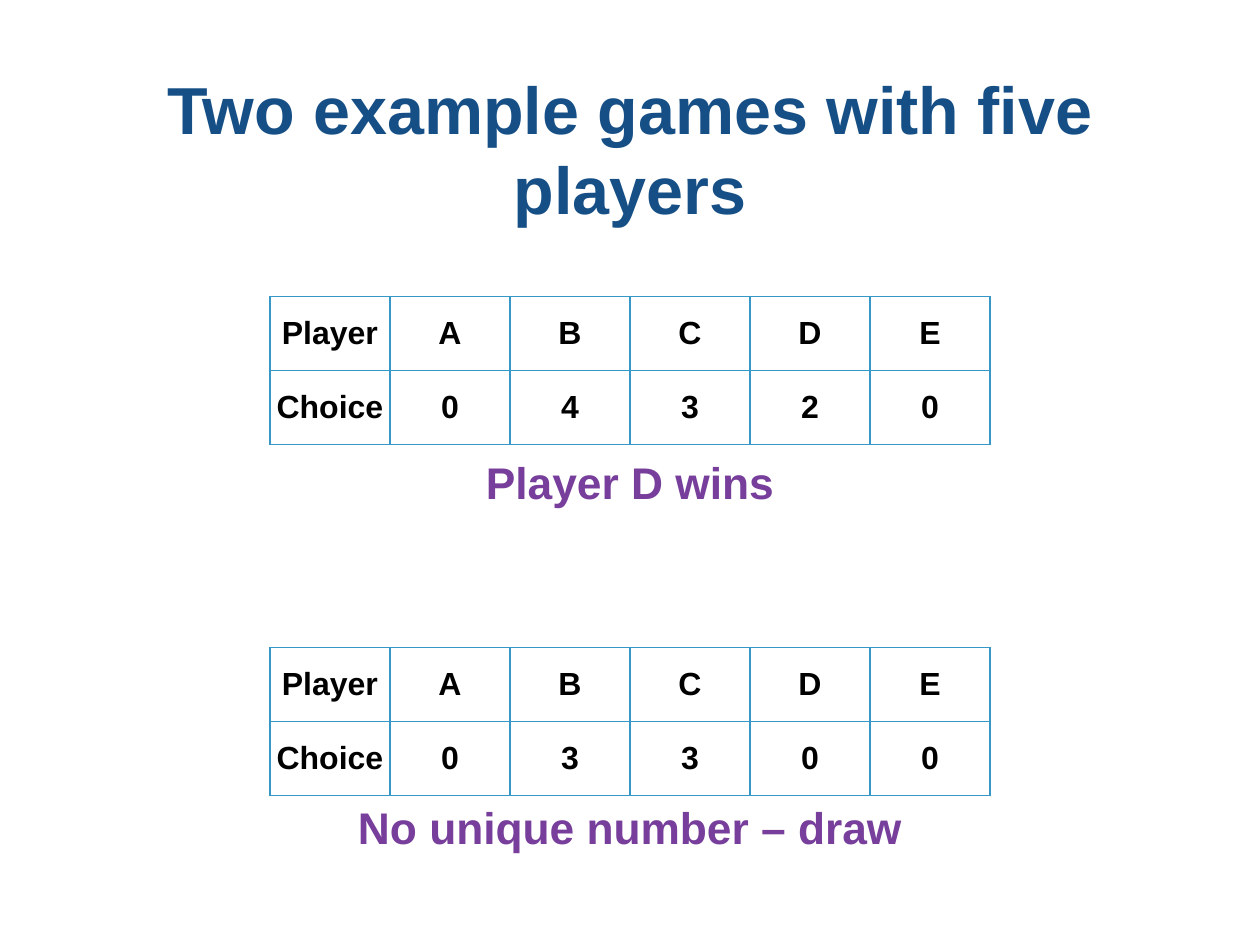
from dataclasses import dataclass

from lxml import etree
from pptx import Presentation
from pptx import util as u
from pptx.dml.color import RGBColor
from pptx.enum import text
from pptx.oxml import ns


@dataclass(frozen=True)
class Theme:
    font: str = "Arial"
    title_size: int = 54
    caption_size: int = 36
    cell_size: int = 26
    title_color: str = "164F86"
    caption_color: str = "773F9B"
    cell_color: str = "000000"
    cell_fill: str = "FFFFFF"
    border_color: str = "3797C6"
    border_width: int = 1
    inset: u.Length = u.Cm(0.14)


THEME = Theme()
SLIDE_WIDTH, SLIDE_HEIGHT = u.Cm(36.12), u.Cm(27.1)
PLAYERS = ["Player", "A", "B", "C", "D", "E"]
GAMES = [
    # table top, caption top, choices, result
    (u.Cm(8.51), u.Cm(12.93), ["0", "4", "3", "2", "0"], "Player D wins"),
    (u.Cm(18.57), u.Cm(22.81), ["0", "3", "3", "0", "0"], "No unique number – draw"),
]


def write_centred(frame, wording, size, color):
    paragraph = frame.paragraphs[0]
    paragraph.alignment = text.PP_ALIGN.CENTER
    run = paragraph.add_run()
    run.text = wording
    run.font.name = THEME.font
    run.font.size = u.Pt(size)
    run.font.bold = True
    run.font.color.rgb = RGBColor.from_string(color)


def set_margins(holder):
    """Apply the common inset to a text frame or a table cell."""
    holder.margin_left = holder.margin_right = THEME.inset
    holder.margin_top = holder.margin_bottom = THEME.inset
    holder.vertical_anchor = text.MSO_ANCHOR.MIDDLE


def add_label(slide, left, top, width, height, wording, size, color):
    frame = slide.shapes.add_textbox(left, top, width, height).text_frame
    frame.word_wrap = True
    set_margins(frame)
    write_centred(frame, wording, size, color)


def add_cell_borders(cell):
    properties = cell._tc.get_or_add_tcPr()
    for side in ("lnL", "lnR", "lnT", "lnB"):
        line = etree.SubElement(properties, ns.qn(f"a:{side}"),
                                w=str(u.Pt(THEME.border_width)))
        fill = etree.SubElement(line, ns.qn("a:solidFill"))
        etree.SubElement(fill, ns.qn("a:srgbClr"), val=THEME.border_color)


def add_game_table(slide, left, top, width, height, rows):
    frame = slide.shapes.add_table(len(rows), len(rows[0]), left, top, width, height)
    table = frame.table
    table.first_row = table.horz_banding = False
    for row_index, values in enumerate(rows):
        for column_index, value in enumerate(values):
            cell = table.cell(row_index, column_index)
            set_margins(cell)
            add_cell_borders(cell)
            cell.fill.solid()
            cell.fill.fore_color.rgb = RGBColor.from_string(THEME.cell_fill)
            write_centred(cell.text_frame, value, THEME.cell_size, THEME.cell_color)


def add_example_games_slide(presentation):
    slide = presentation.slides.add_slide(presentation.slide_layouts[6])
    title_width, table_width = u.Cm(33.7), u.Cm(20.64)
    title_left = (SLIDE_WIDTH - title_width) // 2
    table_left = (SLIDE_WIDTH - table_width) // 2
    add_label(slide, title_left, u.Cm(1.24), title_width, u.Cm(6),
              "Two example games with five players",
              THEME.title_size, THEME.title_color)
    for table_top, caption_top, choices, result in GAMES:
        add_game_table(slide, table_left, table_top, table_width, u.Cm(4.24),
                       [PLAYERS, ["Choice", *choices]])
        add_label(slide, table_left, caption_top, table_width, u.Cm(1.8),
                  result, THEME.caption_size, THEME.caption_color)


def main():
    presentation = Presentation()
    presentation.slide_width = SLIDE_WIDTH
    presentation.slide_height = SLIDE_HEIGHT
    add_example_games_slide(presentation)
    presentation.save("out.pptx")


if __name__ == "__main__":
    main()
